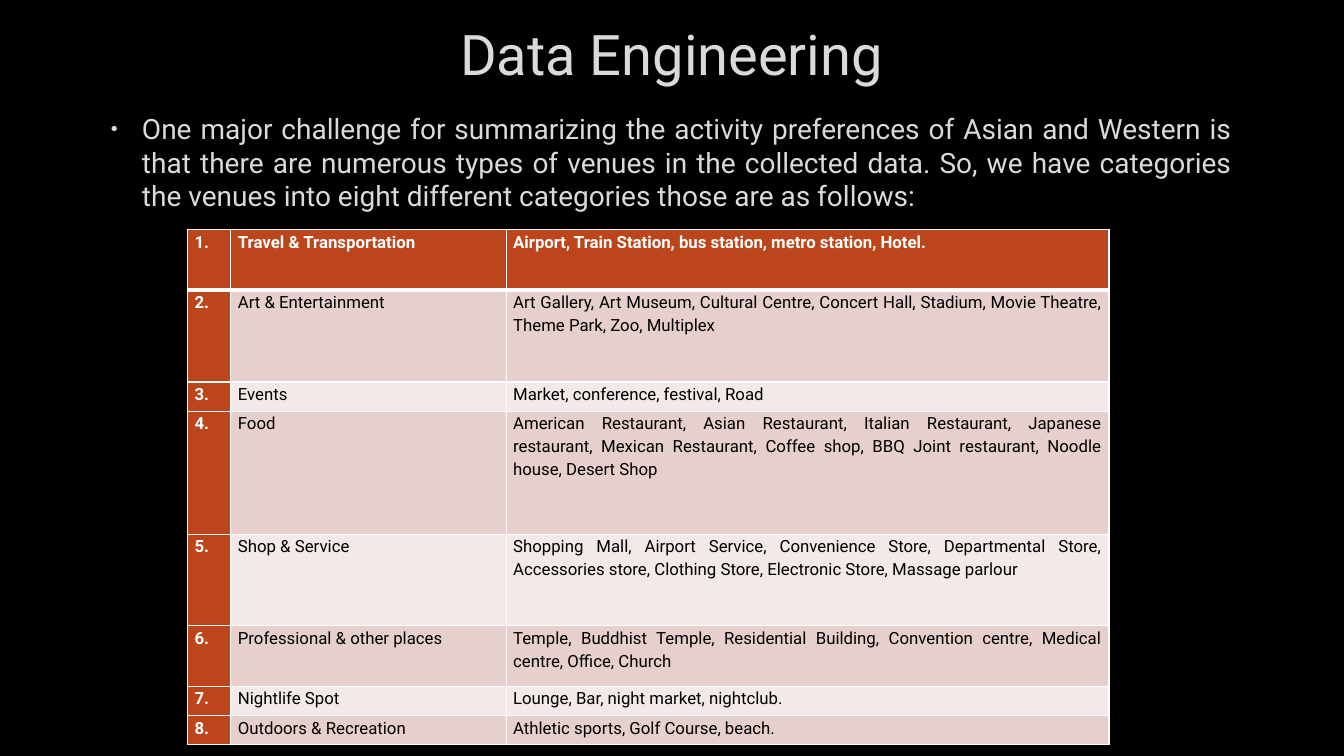
from lxml.etree import SubElement
from pptx import Presentation
from pptx.dml.color import RGBColor
from pptx.enum.text import MSO_ANCHOR, PP_ALIGN
from pptx.oxml.ns import qn
from pptx.util import Inches, Pt

RUST, ROSE, BLUSH = "BC451B", "E7CFCD", "F3E9E8"
WHITE, BLACK, SILVER = "FFFFFF", "000000", "DADADA"

CHALLENGE = (
    "One major challenge for summarizing the activity preferences of Asian and Western is "
    "that there are numerous types of venues in the collected data. So, we have categories "
    "the venues into eight different categories those are as follows:"
)
# Row height, category, venues
CATEGORIES = [
    (0.6, "Travel & Transportation", "Airport, Train Station, bus station, metro station, Hotel."),
    (0.91, "Art & Entertainment",
     "Art Gallery, Art Museum, Cultural Centre, Concert Hall, Stadium, Movie Theatre, "
     "Theme Park, Zoo, Multiplex"),
    (0.29, "Events", "Market, conference, festival, Road"),
    (1.22, "Food",
     "American Restaurant, Asian Restaurant, Italian Restaurant, Japanese restaurant, "
     "Mexican Restaurant, Coffee shop, BBQ Joint restaurant, Noodle house, Desert Shop"),
    (0.91, "Shop & Service",
     "Shopping Mall, Airport Service, Convenience Store, Departmental Store, "
     "Accessories store, Clothing Store, Electronic Store, Massage parlour"),
    (0.6, "Professional & other places",
     "Temple, Buddhist Temple, Residential Building, Convention centre, Medical centre, "
     "Office, Church"),
    (0.29, "Nightlife Spot", "Lounge, Bar, night market, nightclub."),
    (0.29, "Outdoors & Recreation", "Athletic sports, Golf Course, beach."),
]
COLUMN_WIDTHS = (0.43, 2.73, 5.98)


def color(value):
    return RGBColor.from_string(value)


def write(frame, text, size, fill, align=PP_ALIGN.JUSTIFY, bold=False, spacing=None, after=0):
    para = frame.paragraphs[0]
    para.alignment = align
    para.line_spacing = spacing
    para.space_after = Pt(after)
    span = para.add_run()
    span.text = text
    span.font.name = "Roboto"
    span.font.size = Pt(size)
    span.font.bold = bold
    span.font.color.rgb = color(fill)
    return para


def add_bullet(para, fill, percent, indent):
    properties = para._p.get_or_add_pPr()
    properties.set("marL", str(Inches(indent)))
    properties.set("indent", str(-Inches(indent)))
    bullet_color = SubElement(properties, qn("a:buClr"))
    SubElement(bullet_color, qn("a:srgbClr"), val=fill)
    SubElement(properties, qn("a:buSzPct"), val=str(percent * 1000))
    SubElement(properties, qn("a:buFont"), typeface="Arial")
    SubElement(properties, qn("a:buChar"), char="•")


def set_borders(cell, fill, top, bottom):
    """Draw all four cell edges; call before the cell is filled."""
    properties = cell._tc.get_or_add_tcPr()
    for side, width in (("L", 1), ("R", 1), ("T", top), ("B", bottom)):
        edge = SubElement(properties, qn(f"a:ln{side}"), w=str(Pt(width)))
        solid = SubElement(edge, qn("a:solidFill"))
        SubElement(solid, qn("a:srgbClr"), val=fill)


class VenueSlide:
    def __init__(self, deck):
        self.page = deck.slides.add_slide(deck.slide_layouts[6])
        self.page.background.fill.solid()
        self.page.background.fill.fore_color.rgb = color(BLACK)

    def text(self, left, top, width, height, text, size, anchor=MSO_ANCHOR.TOP, **style):
        box = self.page.shapes.add_textbox(*map(Inches, (left, top, width, height)))
        frame = box.text_frame
        frame.word_wrap = True
        frame.vertical_anchor = anchor
        return write(frame, text, size, SILVER, **style)

    def category_table(self, left, top):
        heights = [height for height, _, _ in CATEGORIES]
        size = (sum(COLUMN_WIDTHS), sum(heights))
        table = self.page.shapes.add_table(
            len(heights), len(COLUMN_WIDTHS), *map(Inches, (left, top, *size))).table
        for column, width in zip(table.columns, COLUMN_WIDTHS):
            column.width = Inches(width)
        for index, (height, category, venues) in enumerate(CATEGORIES):
            table.rows[index].height = Inches(height)
            for place, text in enumerate((f"{index + 1}.", category, venues)):
                self.category_cell(table.cell(index, place), text, index, place)

    def category_cell(self, cell, text, row, column):
        strong = row == 0 or column == 0
        set_borders(cell, WHITE, 3 if row == 1 else 1, 3 if row == 0 else 1)
        cell.fill.solid()
        cell.fill.fore_color.rgb = color(RUST if strong else ROSE if row % 2 else BLUSH)
        cell.margin_left = cell.margin_right = Inches(0.07)
        cell.margin_top = cell.margin_bottom = 0
        write(cell.text_frame, text, 12, WHITE if strong else BLACK,
              bold=strong, spacing=1.15, after=10)


def main():
    deck = Presentation()
    deck.slide_width, deck.slide_height = Inches(13.33), Inches(7.5)
    slide = VenueSlide(deck)
    slide.text(1, 0, 11.32, 1.06, "Data Engineering", 40,
               anchor=MSO_ANCHOR.MIDDLE, align=PP_ALIGN.CENTER)
    challenge = slide.text(1, 1.06, 11.32, 6.03, CHALLENGE, 20, after=6)
    add_bullet(challenge, SILVER, 70, 0.31)
    slide.category_table(1.86, 2.28)
    deck.save("out.pptx")


if __name__ == "__main__":
    main()
